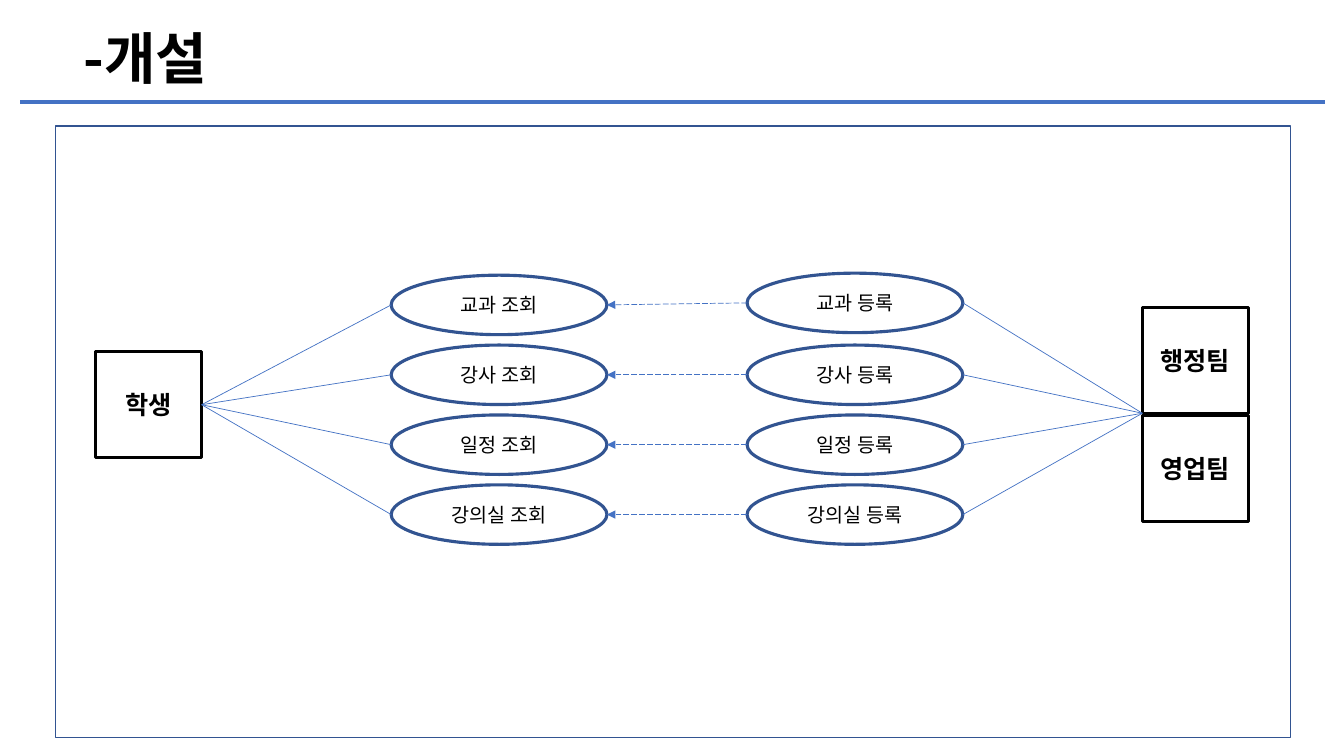
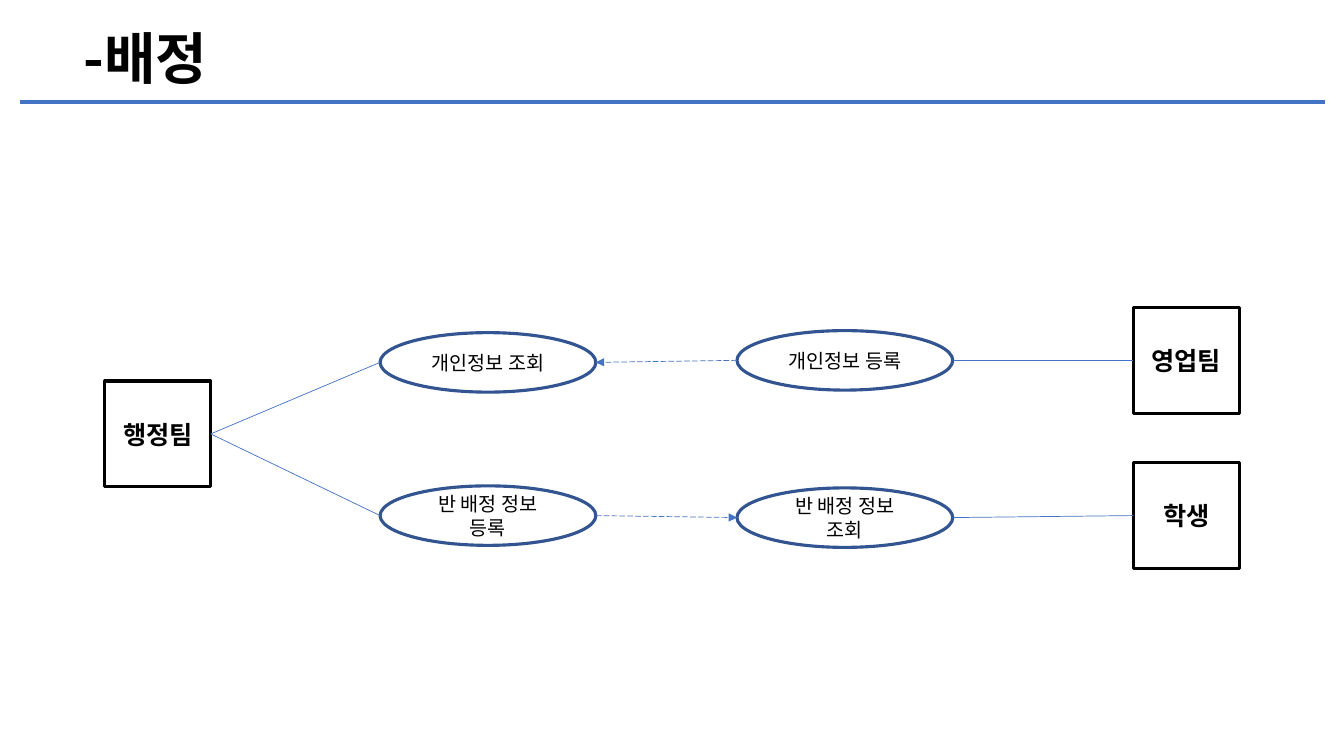
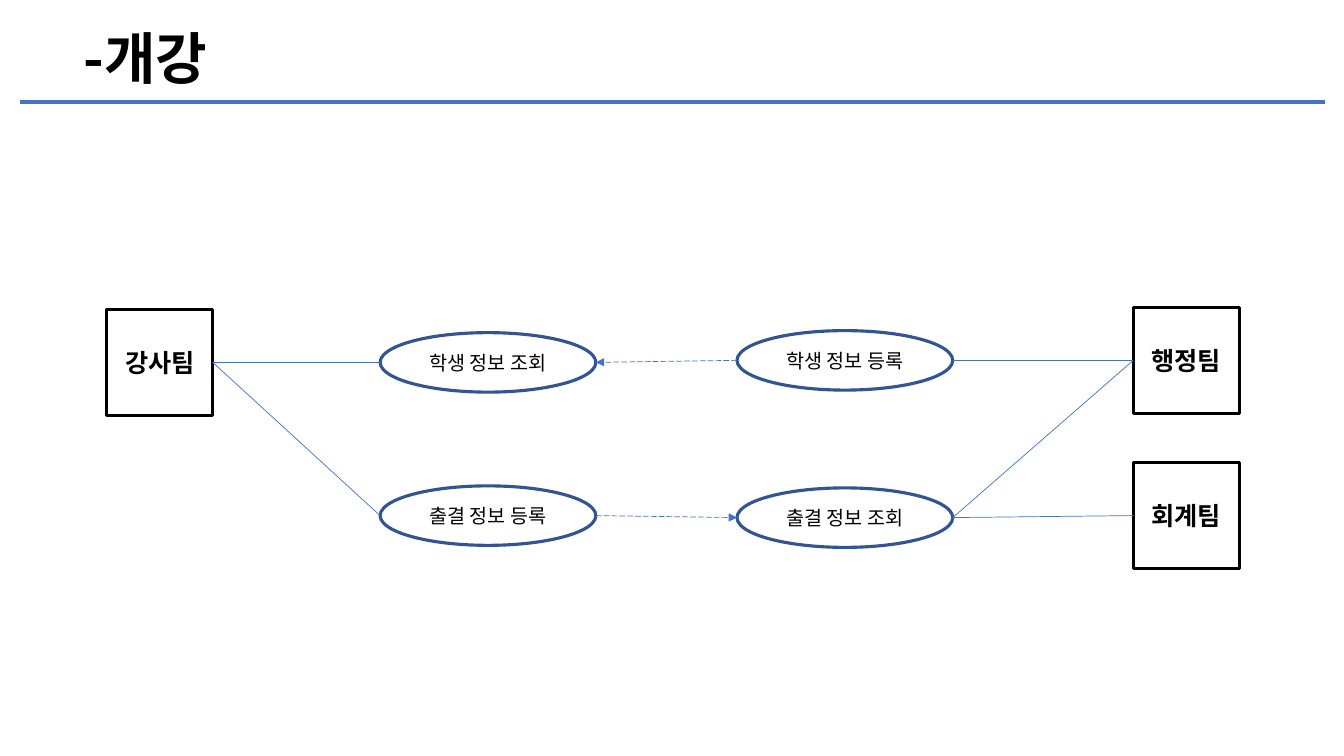
from lxml.etree import SubElement
from pptx import Presentation
from pptx.dml.color import RGBColor
from pptx.enum.dml import MSO_LINE
from pptx.enum.shapes import MSO_CONNECTOR, MSO_SHAPE
from pptx.enum.text import MSO_ANCHOR, MSO_AUTO_SIZE, PP_ALIGN
from pptx.oxml.ns import qn
from pptx.util import Inches, Pt

COLORS = {"ink": "000000", "outline": "325491", "line": "4472C4"}
FONT = "Noto Sans CJK KR"
LEFT, RIGHT = 1, 3


class Deck:
    title_format = {"size": Pt(40), "bold": True}
    actor_format = {"size": Pt(18), "bold": True}
    case_format = {"size": Pt(14), "bold": False}
    actor_size = 1.05
    case_size = (2.14, 0.59)

    def __init__(self):
        self.prs = Presentation()
        self.prs.slide_width = Inches(13.33)
        self.prs.slide_height = Inches(7.5)
        self.s = None

    def color(self, name):
        return RGBColor.from_string(COLORS[name])

    def slide(self, title):
        self.s = self.prs.slides.add_slide(self.prs.slide_layouts[6])
        self.line((Inches(0.2), Inches(1.01)), (Inches(13.14), Inches(1.01)), 3)
        tb = self.s.shapes.add_textbox(Inches(0.73), Inches(0.18), Inches(6.01), Inches(0.77))
        tb.text_frame.auto_size = MSO_AUTO_SIZE.SHAPE_TO_FIT_TEXT
        self.put_text(tb.text_frame, title, self.title_format, PP_ALIGN.LEFT)

    def put_text(self, tf, text, formats, align):
        tf.word_wrap = True
        tf.text = text
        for p in tf.paragraphs:
            p.alignment = align
            for r in p.runs:
                for name, value in {"name": FONT, **formats}.items():
                    setattr(r.font, name, value)
                r.font.color.rgb = self.color("ink")
                SubElement(r.font._element, qn("a:ea"), typeface=FONT)

    def outline(self, kind, x, y, w, h, color, width):
        sp = self.s.shapes.add_shape(kind, Inches(x), Inches(y), Inches(w), Inches(h))
        sp.shadow.inherit = False
        sp.fill.background()
        sp.line.color.rgb = self.color(color)
        sp.line.width = Pt(width)
        return sp

    def frame(self, x, y, w, h):
        self.outline(MSO_SHAPE.RECTANGLE, x, y, w, h, "outline", 1)

    def label(self, sp, text, formats):
        sp.text_frame.vertical_anchor = MSO_ANCHOR.MIDDLE
        self.put_text(sp.text_frame, text, formats, PP_ALIGN.CENTER)
        return sp

    def actor(self, text, x, y):
        size = self.actor_size
        sp = self.outline(MSO_SHAPE.RECTANGLE, x, y, size, size, "ink", 2.25)
        return self.label(sp, text, self.actor_format)

    def case(self, text, x, y):
        sp = self.outline(MSO_SHAPE.OVAL, x, y, *self.case_size, "outline", 2.25)
        return self.label(sp, text, self.case_format)

    def line(self, start, end, width=0.5, arrow=False):
        cx = self.s.shapes.add_connector(MSO_CONNECTOR.STRAIGHT, *start, *end)
        cx.line.color.rgb = self.color("line")
        cx.line.width = Pt(width)
        if arrow:
            cx.line.dash_style = MSO_LINE.LONG_DASH
            SubElement(cx.line._get_or_add_ln(), qn("a:tailEnd"), type="triangle")
        SubElement(cx._element.spPr, qn("a:effectLst"))
        return cx

    def side(self, sp, side):
        x = sp.left if side == LEFT else sp.left + sp.width
        return x, sp.top + sp.height // 2

    def link(self, a, b, arrow=False):
        a_side, b_side = (RIGHT, LEFT) if a.left < b.left else (LEFT, RIGHT)
        cx = self.line(self.side(a, a_side), self.side(b, b_side), arrow=arrow)
        if a.auto_shape_type == MSO_SHAPE.RECTANGLE:
            cx.begin_connect(a, a_side)
        if b.auto_shape_type == MSO_SHAPE.RECTANGLE:
            cx.end_connect(b, b_side)


def opening(deck):
    deck.slide("-개설")
    deck.frame(0.55, 1.25, 12.25, 6.07)
    student = deck.actor("학생", 0.95, 3.49)
    deck.actor("행정팀", 11.33, 3.05)
    deck.actor("영업팀", 11.33, 4.12)
    teams_joint = Inches(11.33), Inches(4.1)
    subjects = ["교과", "강사", "일정", "강의실"]
    first, last = 2.73, 4.81
    step = (last - first) / (len(subjects) - 1)
    for i, subject in enumerate(subjects):
        y = first + i * step
        lookup = deck.case(f"{subject} 조회", 3.88, y)
        entry = deck.case(f"{subject} 등록", 7.41, y if i else y - 0.02)
        deck.link(lookup, student)
        deck.link(entry, lookup, arrow=True)
        deck.line(deck.side(entry, RIGHT), teams_joint)


def two_flows(deck, title, actor, cases, partners):
    deck.slide(title)
    hub = deck.actor(*actor)
    (top_left, top_right), (low_left, low_right) = [
        (deck.case(left, 3.77, y), deck.case(right, 7.31, y + shift))
        for (left, right), y, shift in zip(cases, (3.3, 4.82), (-0.02, 0.02))
    ]
    top_partner, low_partner = [
        deck.actor(name, 11.24, y) for name, y in zip(partners, (3.05, 4.59))
    ]
    deck.link(hub, top_left)
    deck.link(hub, low_left)
    deck.link(top_right, top_left, arrow=True)
    deck.link(low_left, low_right, arrow=True)
    deck.link(top_right, top_partner)
    deck.link(low_right, low_partner)
    return low_right, top_partner


def main():
    deck = Deck()
    opening(deck)
    two_flows(
        deck, "-배정", ("행정팀", 1.04, 3.78),
        [("개인정보 조회", "개인정보 등록"), ("반 배정 정보\n등록", "반 배정 정보\n조회")],
        ["영업팀", "학생"],
    )
    attendance, office = two_flows(
        deck, "-개강", ("강사팀", 1.06, 3.07),
        [("학생 정보 조회", "학생 정보 등록"), ("출결 정보 등록", "출결 정보 조회")],
        ["행정팀", "회계팀"],
    )
    deck.link(attendance, office)
    deck.prs.save("out.pptx")


if __name__ == "__main__":
    main()
